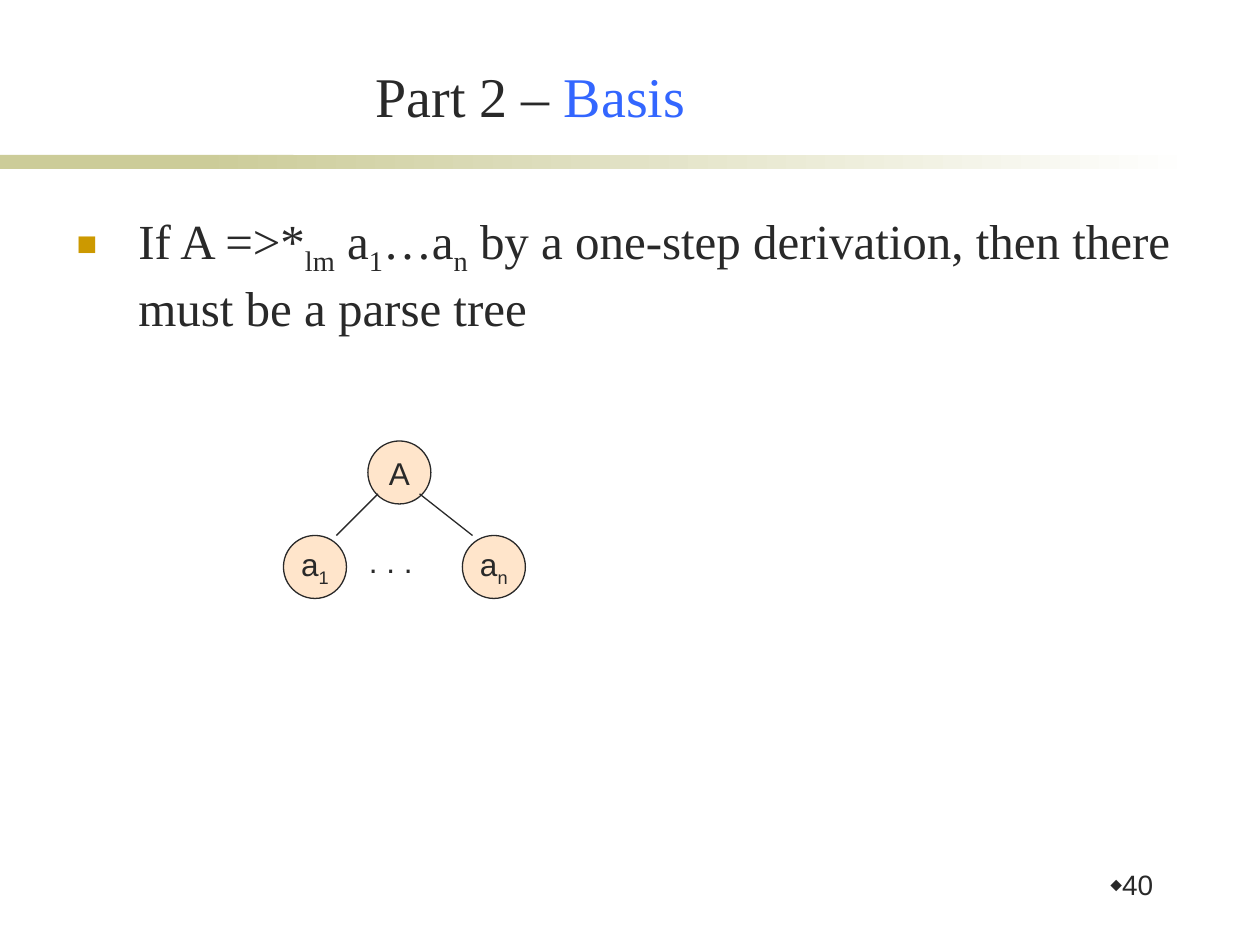
from lxml.etree import SubElement
from pptx import Presentation
from pptx.dml.color import RGBColor
from pptx.enum.shapes import MSO_CONNECTOR, MSO_SHAPE
from pptx.enum.text import MSO_ANCHOR, PP_ALIGN
from pptx.oxml.ns import qn
from pptx.util import Inches, Pt

COLORS = {
    "ink": "292929",
    "accent": "3366FF",
    "bullet": "CC9900",
    "band": "CCCC99",
    "paper": "FFFFFF",
    "node": "FFCC99",
}
SERIF = "Times New Roman"
SANS = "Arial"


def rgb(name):
    return RGBColor.from_string(COLORS[name])


def add_run(paragraph, text, size, font, color="ink", subscript=False):
    run = paragraph.add_run()
    run.text = text
    run.font.size = Pt(size)
    run.font.name = font
    run.font.color.rgb = rgb(color)
    if subscript:
        run._r.get_or_add_rPr().set("baseline", "-25000")


def add_bullet(paragraph, symbol, color, percent, indent=0):
    properties = paragraph._p.get_or_add_pPr()
    properties.set("marL", str(Inches(indent)))
    properties.set("indent", str(-Inches(indent)))
    bullet_color = SubElement(properties, qn("a:buClr"))
    SubElement(bullet_color, qn("a:srgbClr"), val=COLORS[color])
    SubElement(properties, qn("a:buSzPct"), val=str(percent * 1000))
    SubElement(properties, qn("a:buFont"), typeface=SANS)
    SubElement(properties, qn("a:buChar"), char=symbol)


def add_text(shapes, left, top, width, height, wrap=True):
    frame = shapes.add_textbox(
        Inches(left), Inches(top), Inches(width), Inches(height)
    ).text_frame
    frame.word_wrap = wrap
    return frame


def add_band(slide, left, top, width, height):
    solid_width, fade_left = 2.33, 1.58
    parts = [(left, solid_width), (left + fade_left, width - fade_left)]
    solid, fade = [
        slide.shapes.add_shape(
            MSO_SHAPE.RECTANGLE, Inches(x), Inches(top), Inches(w), Inches(height)
        )
        for x, w in parts
    ]
    for bar in (solid, fade):
        bar.shadow.inherit = False
        bar.line.fill.background()
    solid.fill.solid()
    solid.fill.fore_color.rgb = rgb("band")
    fade.fill.gradient()
    fade.fill.gradient_angle = 0
    for stop, position, color in zip(
        fade.fill.gradient_stops, (0, 1), ("band", "paper")
    ):
        stop.position = position
        stop.color.rgb = rgb(color)


def add_title(slide, left, top, width, height):
    frame = add_text(slide.shapes, left, top, width, height)
    frame.vertical_anchor = MSO_ANCHOR.BOTTOM
    heading = frame.paragraphs[0]
    heading.alignment = PP_ALIGN.CENTER
    add_run(heading, "Part 2 – ", 32, SERIF)
    add_run(heading, "Basis", 32, SERIF, "accent")


def add_body(slide, left, top, width, height):
    claim = add_text(slide.shapes, left, top, width, height).paragraphs[0]
    add_bullet(claim, "■", "bullet", 70, 0.49)
    for text, subscript in [
        ("If A =>*", False),
        ("lm", True),
        (" a", False),
        ("1", True),
        ("…a", False),
        ("n", True),
        (" by a one-step derivation, then there must be a parse tree", False),
    ]:
        add_run(claim, text, 28, SERIF, subscript=subscript)


def add_node(shapes, left, top, diameter, label, index):
    node = shapes.add_shape(
        MSO_SHAPE.OVAL, Inches(left), Inches(top), Inches(diameter), Inches(diameter)
    )
    node.shadow.inherit = False
    node.fill.solid()
    node.fill.fore_color.rgb = rgb("node")
    node_color = node._element.spPr.find(qn("a:solidFill")).find(qn("a:srgbClr"))
    SubElement(node_color, qn("a:alpha"), val="50000")
    node.line.color.rgb = rgb("ink")
    node.line.width = Pt(0.75)
    frame = node.text_frame
    frame.word_wrap = False
    frame.vertical_anchor = MSO_ANCHOR.MIDDLE
    caption = frame.paragraphs[0]
    caption.alignment = PP_ALIGN.CENTER
    add_run(caption, label, 18, SANS)
    if index:
        add_run(caption, index, 18, SANS, subscript=True)


def add_edge(shapes, start, end):
    edge = shapes.add_connector(
        MSO_CONNECTOR.STRAIGHT, *[Inches(value) for value in (*start, *end)]
    )
    edge.line.color.rgb = rgb("ink")
    edge.line.width = Pt(0.75)
    SubElement(edge._element.spPr, qn("a:effectLst"))


def add_parse_tree(slide, left, top, width, height):
    diameter = 0.5
    leaf_top = top + height - diameter
    shapes = slide.shapes.add_group_shape().shapes
    for x, y, label, index in [
        (left + 0.67, top, "A", ""),
        (left, leaf_top, "a", "1"),
        (left + width - diameter, leaf_top, "a", "n"),
    ]:
        add_node(shapes, x, y, diameter, label, index)
    dots = add_text(shapes, left + 0.58, leaf_top, 0.71, diameter, wrap=False)
    add_run(dots.paragraphs[0], ". . .", 18, SANS)
    for start_x, end_x in [(0.75, 0.42), (1.08, 1.5)]:
        add_edge(shapes, (left + start_x, top + 0.42), (left + end_x, leaf_top))


def add_page_number(slide, left, top, width, height):
    number = add_text(slide.shapes, left, top, width, height).paragraphs[0]
    number.alignment = PP_ALIGN.RIGHT
    number.line_spacing = 0.9
    add_bullet(number, "⬥", "ink", 60)
    add_run(number, "40", 16, SANS)


def main():
    deck = Presentation()
    deck.slide_width, deck.slide_height = Inches(10), Inches(7.5)
    slide = deck.slides.add_slide(deck.slide_layouts[6])
    add_band(slide, 0, 1.23, 9.5, 0.11)
    add_page_number(slide, 8.23, 6.87, 1.02, 0.5)
    add_title(slide, 1.14, 0.44, 6.14, 0.63)
    add_body(slide, 0.51, 1.62, 8.9, 4.8)
    add_parse_tree(slide, 2.25, 3.5, 1.92, 1.25)
    deck.save("out.pptx")


if __name__ == "__main__":
    main()
